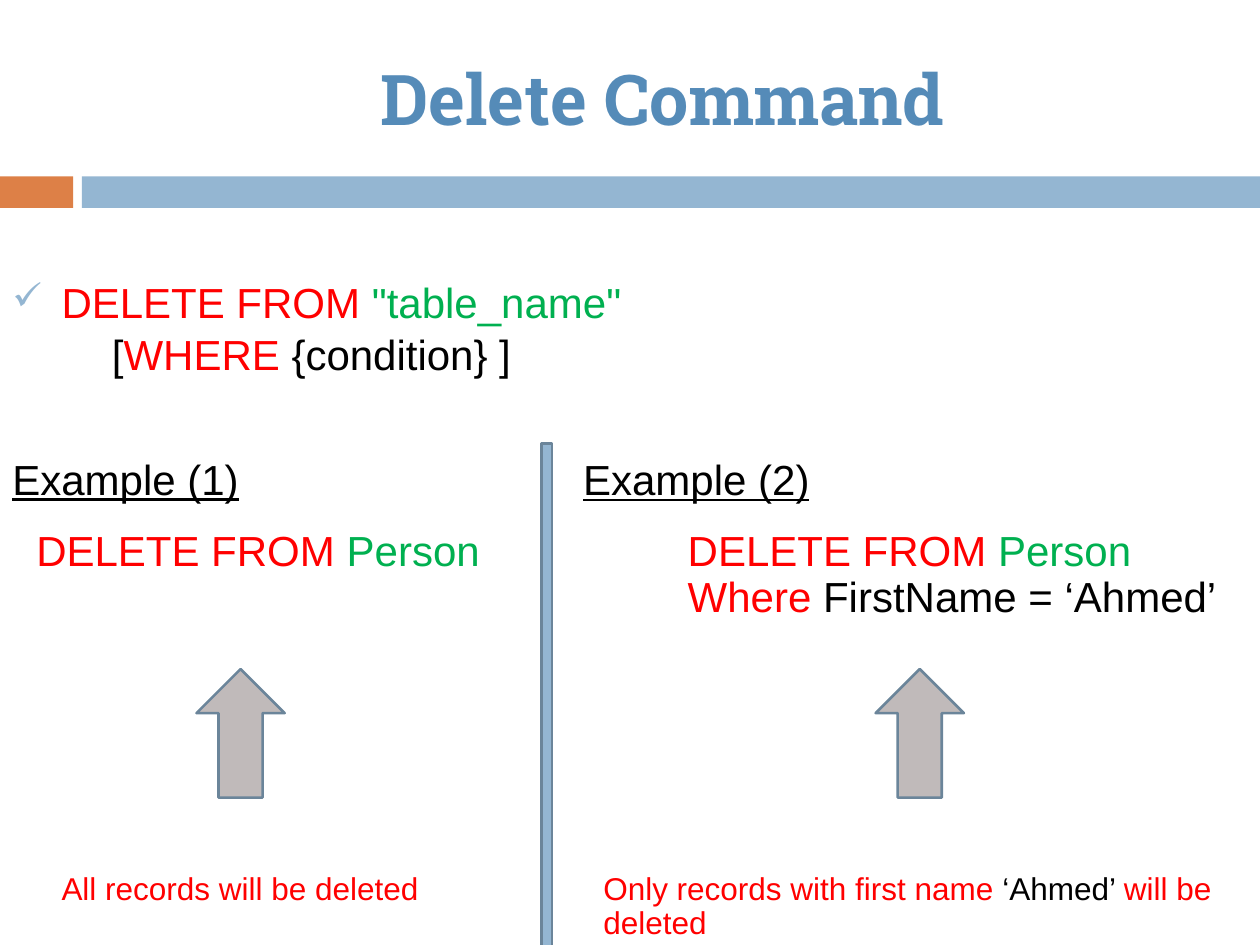
from pptx import Presentation
from pptx.dml.color import RGBColor
from pptx.enum.shapes import MSO_SHAPE
from pptx.enum.text import MSO_ANCHOR, PP_ALIGN
from pptx.oxml import parse_xml
from pptx.oxml.ns import nsdecls
from pptx.util import Inches, Pt

RECT, UP_ARROW = MSO_SHAPE.RECTANGLE, MSO_SHAPE.UP_ARROW
TOP, MIDDLE = MSO_ANCHOR.TOP, MSO_ANCHOR.MIDDLE
CENTER = PP_ALIGN.CENTER

ORANGE = RGBColor(0xDD, 0x80, 0x47)
SKY = RGBColor(0x94, 0xB6, 0xD2)
TITLE_BLUE = RGBColor(0x55, 0x8B, 0xB8)
SLATE = RGBColor(0x6B, 0x85, 0x9A)
GREY = RGBColor(0xC0, 0xBA, 0xBA)
RED = RGBColor(0xFF, 0x00, 0x00)
GREEN = RGBColor(0x00, 0xB0, 0x50)
BLACK = RGBColor(0x00, 0x00, 0x00)

WIDTH, HEIGHT = Inches(10), Inches(7.5)
COLUMNS, ROWS = 100, 75

TITLE = {"size": Pt(40), "name": "Roboto Slab", "bold": True}
CODE = {"size": Pt(24), "name": "Arial"}
HEADING = {**CODE, "underline": True}
NOTE = {"size": Pt(18), "name": "Arial"}
BODY = {"line_spacing": 0.9, "space_before": Pt(15)}


def grid(left, top, width, height):
    """Turn columns and rows of the grid into slide lengths."""
    col, row = WIDTH / COLUMNS, HEIGHT / ROWS
    return [round(v) for v in (left * col, top * row, width * col, height * row)]


def add_block(s, kind, box, fill, line=None):
    """Add a filled preset shape, outlined when a line colour is given."""
    sp = s.shapes.add_shape(kind, *grid(*box))
    sp.shadow.inherit = False
    sp.fill.solid()
    sp.fill.fore_color.rgb = fill
    if line is None:
        sp.line.fill.background()
    else:
        sp.line.color.rgb = line
        sp.line.width = Pt(1.5)


def add_text(s, box, anchor=TOP):
    """Add an empty wrapping text box and return its frame."""
    tf = s.shapes.add_textbox(*grid(*box)).text_frame
    tf.word_wrap = True
    tf.vertical_anchor = anchor
    return tf


def add_paragraph(tf, lines, font, layout, indent=0):
    """Write lines of (text, colour) runs as one paragraph and return it."""
    p = tf.paragraphs[0] if not tf.paragraphs[0].runs else tf.add_paragraph()
    for name, value in layout.items():
        setattr(p, name, value)
    p._p.get_or_add_pPr().set("marL", str(Inches(indent)))
    for i, line in enumerate(lines):
        if i:
            p.add_line_break()
        for text, color in line:
            r = p.add_run()
            r.text = text
            r.font.color.rgb = color
            for name, value in font.items():
                setattr(r.font, name, value)
    return p


def add_check(p, hang):
    """Give a paragraph a hanging check mark."""
    pPr = p._p.get_or_add_pPr()
    pPr.set("indent", str(-Inches(hang)))
    for tag in (f'<a:buClr {nsdecls("a")}><a:srgbClr val="{SKY}"/></a:buClr>',
                f'<a:buSzPct {nsdecls("a")} val="90000"/>',
                f'<a:buChar {nsdecls("a")} char="✓"/>'):
        pPr.append(parse_xml(tag))


def add_syntax(s):
    """Add the command's general form."""
    tf = add_text(s, (0, 21.9, 100, 14.3))
    p = add_paragraph(tf, [[("DELETE FROM ", RED), ('"table_name"', GREEN)]],
                      CODE, BODY, 0.39)
    add_check(p, 0.39)
    add_paragraph(tf, [[("[", BLACK), ("WHERE", RED), (" {condition} ]", BLACK)]],
                  CODE, {**BODY, "space_before": Pt(4)}, 0.79)


def add_example(s, heading, box, code, indent, arrow_left, note_box, note):
    """Add one example: heading, statement, arrow and outcome."""
    tf = add_text(s, box, MIDDLE)
    add_paragraph(tf, [[(heading, BLACK)]], HEADING, BODY)
    add_paragraph(tf, code, CODE, BODY, indent)
    add_block(s, UP_ARROW, (arrow_left, 53.1, 7, 10.2), GREY, SLATE)
    add_paragraph(add_text(s, note_box), [note], NOTE, BODY)


def main():
    """Build the slide and save it."""
    prs = Presentation()
    prs.slide_width, prs.slide_height = WIDTH, HEIGHT
    s = prs.slides.add_slide(prs.slide_layouts[6])
    add_block(s, RECT, (0, 14, 5.8, 2.5), ORANGE)
    add_block(s, RECT, (6.5, 14, 93.5, 2.5), SKY)
    add_paragraph(add_text(s, (5.1, 3.9, 94.9, 7.7)),
                  [[("Delete Command", TITLE_BLUE)]], TITLE, {"alignment": CENTER})
    add_syntax(s)
    add_block(s, RECT, (43, 35.2, 0.8, 40.6), SKY, SLATE)
    statement = [("DELETE FROM ", RED), ("Person", GREEN)]
    add_example(s, "Example (1)", (0, 35.9, 40.6, 10.3), [statement], 0.19, 15.6,
                (3.9, 68.8, 33.6, 3.7), [("All records will be deleted", RED)])
    condition = [("Where", RED), (" FirstName = ‘Ahmed’", BLACK)]
    add_example(s, "Example (2)", (45.3, 35.9, 53.9, 13.9), [statement, condition],
                0.83, 69.5, (46.9, 68.8, 56.3, 6.4),
                [("Only records with first name ", RED), ("‘Ahmed’ ", BLACK),
                 ("will be deleted", RED)])
    prs.save("out.pptx")


if __name__ == "__main__":
    main()
